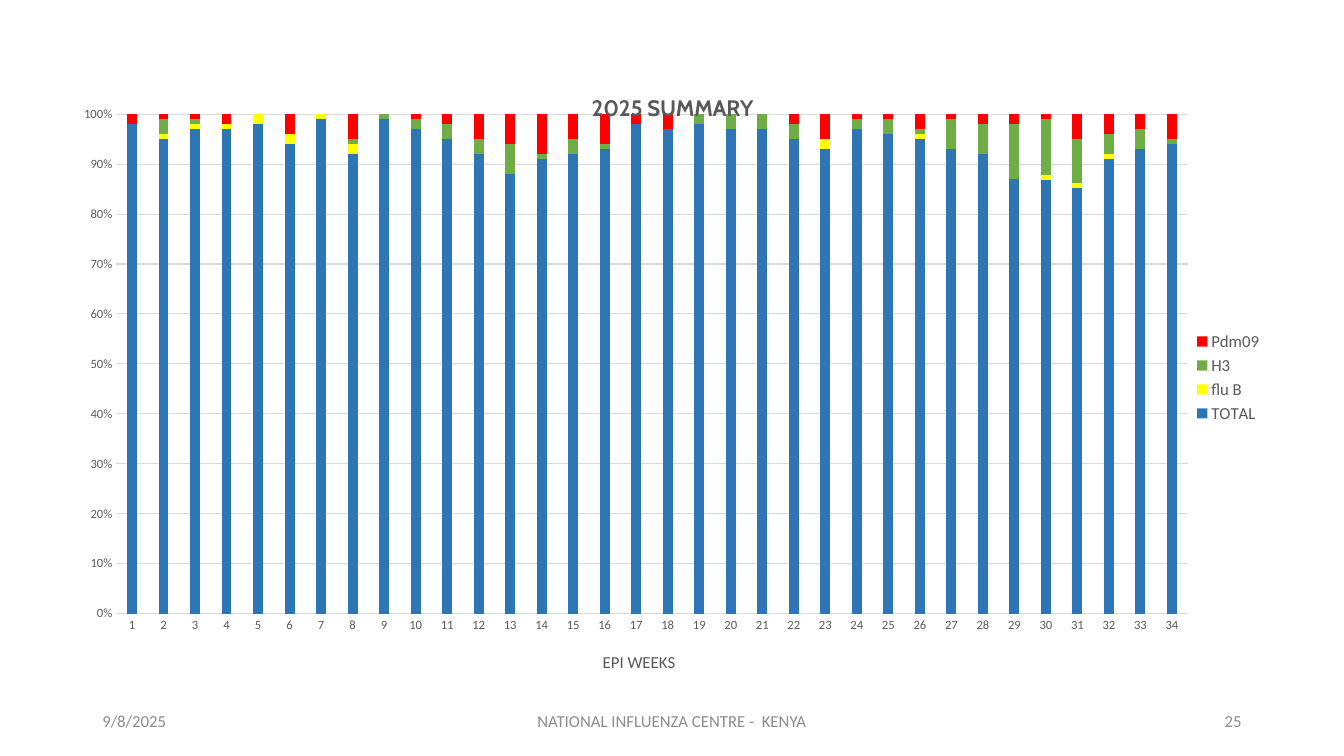
"""Build the weekly influenza summary slide with its stacked percentage chart."""
import dataclasses
import typing

import lxml.etree
import pptx
import pptx.chart.data
import pptx.dml.color
import pptx.enum.chart
import pptx.enum.text
import pptx.oxml.ns
import pptx.util

Pt = pptx.util.Pt
Align = pptx.enum.text.PP_ALIGN


@dataclasses.dataclass(frozen=True)
class Theme:
    body_font: str = "Calibri"
    title_font: str = "Cabin"
    text: str = "595959"
    footer: str = "8C8C8C"
    grid: str = "D9D9D9"
    title_size: float = 16
    label_size: float = 12
    tick_size: float = 9
    grid_width: float = 0.75


@dataclasses.dataclass(frozen=True)
class VirusSeries:
    name: str
    color: str
    values: tuple[int, ...]


@dataclasses.dataclass(frozen=True)
class FooterItem:
    text: str
    left: float
    width: float
    alignment: Align


THEME = Theme()
SERIES = (
    VirusSeries("TOTAL", "2E75B6", (
        98, 94, 97, 97, 98, 95, 99, 92, 99, 96, 95, 92, 88, 91, 92, 93, 98,
        97, 98, 97, 97, 95, 93, 97, 96, 95, 94, 91, 87, 86, 86, 90, 93, 94)),
    VirusSeries("flu B", "FFFF00", (
        0, 1, 1, 1, 2, 2, 1, 2, 0, 0, 0, 0, 0, 0, 0, 0, 0,
        0, 0, 0, 0, 0, 2, 0, 0, 1, 0, 0, 0, 1, 1, 1, 0, 0)),
    VirusSeries("H3", "70AD47", (
        0, 3, 1, 0, 0, 0, 0, 1, 1, 2, 3, 3, 6, 1, 3, 1, 0,
        0, 2, 3, 3, 3, 0, 2, 3, 1, 6, 6, 11, 11, 9, 4, 4, 1)),
    VirusSeries("Pdm09", "FF0000", (
        2, 1, 1, 2, 0, 4, 0, 5, 0, 1, 2, 5, 6, 8, 5, 6, 2,
        3, 0, 0, 0, 2, 5, 1, 1, 3, 1, 2, 2, 1, 5, 4, 3, 5)),
)
FOOTERS = (
    FooterItem("9/8/2025", 66, 216, Align.LEFT),
    FooterItem("NATIONAL INFLUENZA CENTRE -  KENYA", 318, 324, Align.CENTER),
    FooterItem("25", 678, 216, Align.RIGHT),
)


def style_font(font: typing.Any, size: float, color: str,
               name: str = THEME.body_font, bold: bool = False) -> None:
    """Apply typeface, size, weight and colour."""
    font.name, font.size, font.bold = name, Pt(size), bold
    font.color.rgb = pptx.dml.color.RGBColor.from_string(color)


def style_line(line: typing.Any) -> None:
    """Give a chart line the grid colour and width."""
    line.color.rgb = pptx.dml.color.RGBColor.from_string(THEME.grid)
    line.width = Pt(THEME.grid_width)


def set_layout(element: typing.Any, **settings: typing.Any) -> None:
    """Place a chart part by fractions of the chart area."""
    qn = pptx.oxml.ns.qn
    layout = element.find(qn("c:layout"))
    if layout is None:
        layout = lxml.etree.Element(qn("c:layout"))
        element.insert(0, layout)
    manual = lxml.etree.SubElement(layout, qn("c:manualLayout"))
    for tag, value in settings.items():
        lxml.etree.SubElement(manual, qn(f"c:{tag}")).set("val", str(value))


def set_title(title: typing.Any, text: str, left: float, top: float,
              size: float, name: str, bold: bool) -> None:
    """Write, format and place a chart or axis title."""
    title.text_frame.text = text
    run = title.text_frame.paragraphs[0].runs[0]
    style_font(run.font, size, THEME.text, name, bold)
    set_layout(title._element, xMode="edge", yMode="edge", x=left, y=top)


def add_summary_chart(slide: typing.Any) -> None:
    """Add the chart of virus shares per epidemiological week."""
    data = pptx.chart.data.CategoryChartData()
    data.categories = [str(week + 1) for week in range(len(SERIES[0].values))]
    for item in SERIES:
        data.add_series(item.name, item.values)
    chart = slide.shapes.add_chart(
        pptx.enum.chart.XL_CHART_TYPE.COLUMN_STACKED_100,
        Pt(50.4), Pt(50.4), Pt(859), Pt(438.5), data).chart
    style_font(chart.font, THEME.tick_size, THEME.text)

    plot = chart.plots[0]
    plot.gap_width, plot.overlap, plot.vary_by_categories = 219, 100, False
    for series, item in zip(plot.series, SERIES):
        series.format.fill.solid()
        series.format.fill.fore_color.rgb = (
            pptx.dml.color.RGBColor.from_string(item.color))
    set_layout(plot._element.getparent(), layoutTarget="inner",
               xMode="edge", yMode="edge", x=0.038, y=0.071, w=0.891, h=0.814)

    for axis in (chart.category_axis, chart.value_axis):
        axis.major_tick_mark = pptx.enum.chart.XL_TICK_MARK.NONE
        axis.minor_tick_mark = pptx.enum.chart.XL_TICK_MARK.NONE
        style_font(axis.tick_labels.font, THEME.tick_size, THEME.text)
    style_line(chart.category_axis.format.line)
    value_axis = chart.value_axis
    value_axis.format.line.fill.background()
    style_line(value_axis.major_gridlines.format.line)
    value_axis.minimum_scale, value_axis.maximum_scale = 0, 1
    value_axis.major_unit = 0.1
    value_axis.tick_labels.number_format = "0%"
    value_axis.tick_labels.number_format_is_linked = False

    set_title(chart.chart_title, "2025 SUMMARY", 0.43, 0.03,
              THEME.title_size, THEME.title_font, True)
    set_title(chart.category_axis.axis_title, "EPI WEEKS", 0.44, 0.94,
              THEME.label_size, THEME.body_font, False)
    chart.has_legend = True
    chart.legend.position = pptx.enum.chart.XL_LEGEND_POSITION.RIGHT
    chart.legend.include_in_layout = False
    style_font(chart.legend.font, THEME.label_size, THEME.text)


def add_footer(slide: typing.Any, item: FooterItem) -> None:
    """Add one line of footer text."""
    box = slide.shapes.add_textbox(
        Pt(item.left), Pt(500.5), Pt(item.width), Pt(28.75))
    frame = box.text_frame
    frame.word_wrap = True
    frame.vertical_anchor = pptx.enum.text.MSO_ANCHOR.MIDDLE
    frame.text = item.text
    paragraph = frame.paragraphs[0]
    paragraph.alignment = item.alignment
    style_font(paragraph.runs[0].font, THEME.label_size, THEME.footer)


def main() -> None:
    """Create and save the presentation."""
    presentation = pptx.Presentation()
    presentation.slide_width, presentation.slide_height = Pt(960), Pt(540)
    slide = presentation.slides.add_slide(presentation.slide_layouts[6])
    add_summary_chart(slide)
    for item in FOOTERS:
        add_footer(slide, item)
    presentation.save("out.pptx")


if __name__ == "__main__":
    main()
